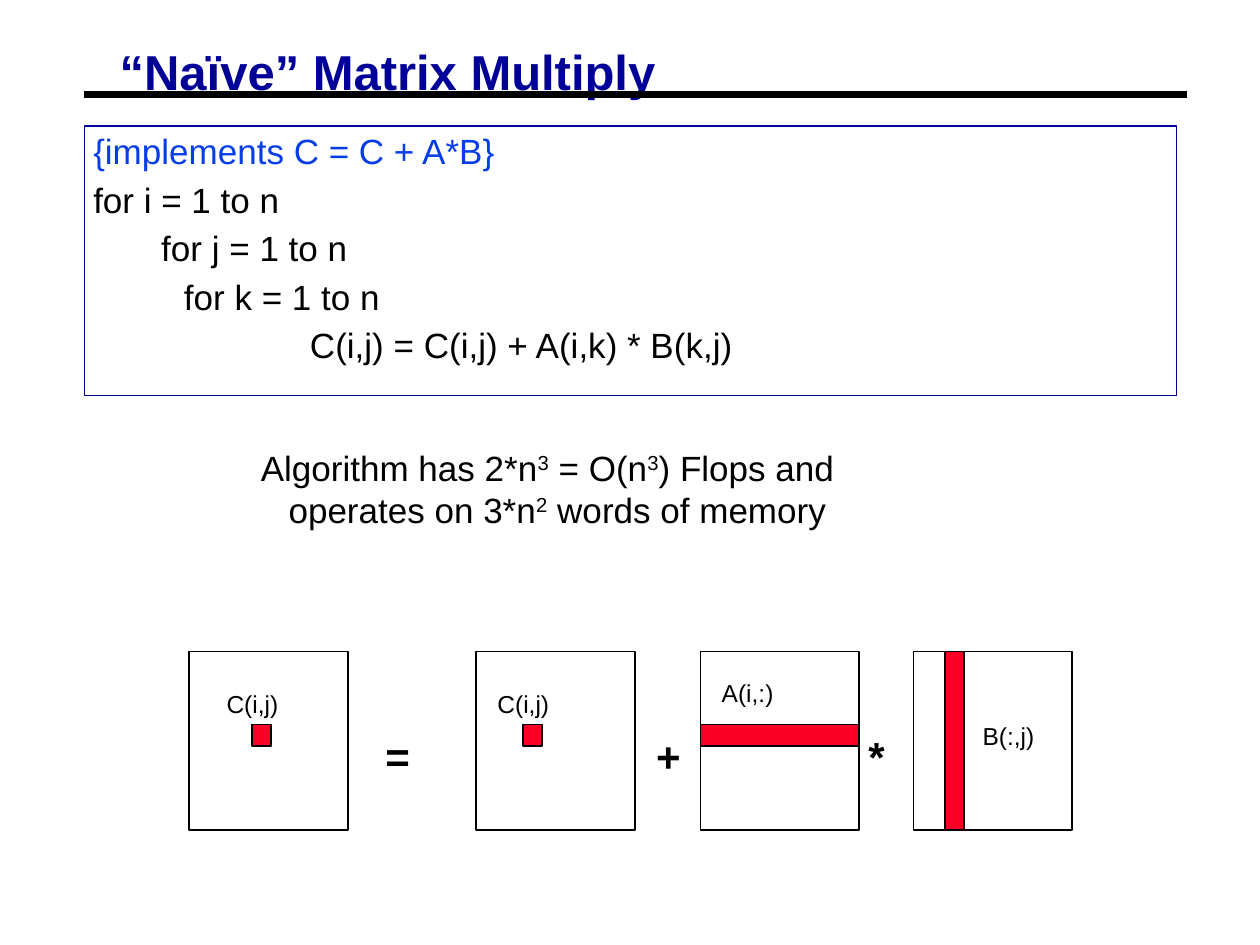
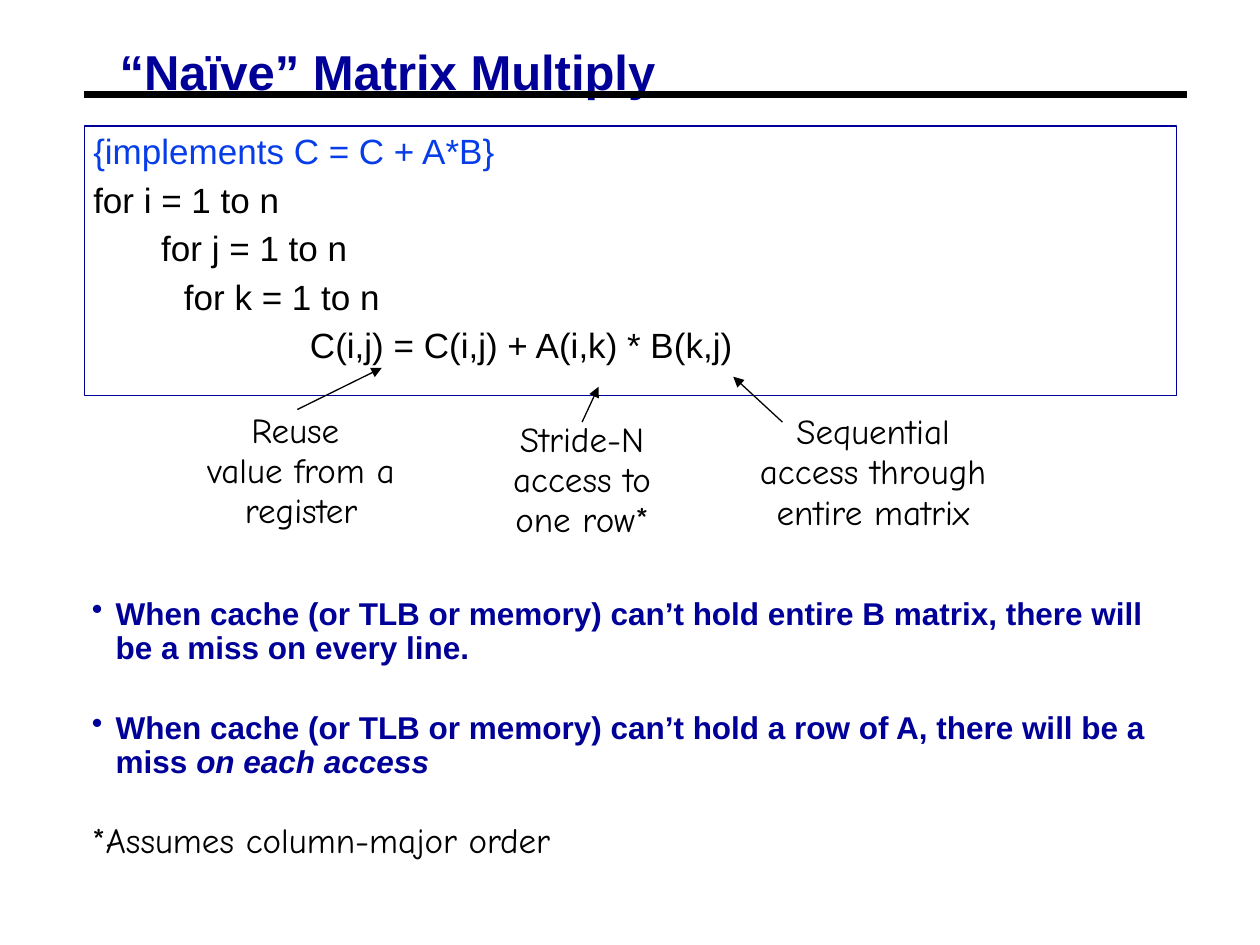
from lxml import etree
from pptx import Presentation
from pptx import util as u
from pptx.dml.color import RGBColor
from pptx.enum import shapes, text
from pptx.oxml import ns

EMU_PER_PX = 9144  # 100 px to the inch
NAVY = RGBColor(0x00, 0x00, 0x99)
BLUE = RGBColor(0x06, 0x3D, 0xE8)
RED = RGBColor(0xFC, 0x01, 0x28)
BLACK = RGBColor(0, 0, 0)
SANS = "Arial"
HAND = "Comic Neue"

TITLE = "“Naïve” Matrix Multiply"
CODE = [
    "{implements C = C + A*B}",
    "for i = 1 to n",
    "       for j = 1 to n",
    "\t\tfor k = 1 to n",
    "           \t\tC(i,j) = C(i,j) + A(i,k) * B(k,j)",
]

MATRIX_TOP, MATRIX_WIDTH, MATRIX_HEIGHT = 517, 126, 142
ROW_I = (58, 17)  # offset and height of row i
# matrix left, marked part (left, top, width, height), label, label left and top;
# all but the first are measured from the matrix
MATRICES = [
    (150, (50, ROW_I[0], 15, ROW_I[1]), "C(i,j)", 20, 25),
    (378, (37, ROW_I[0], 15, ROW_I[1]), "C(i,j)", 7, 25),
    (556, (0, ROW_I[0], MATRIX_WIDTH, ROW_I[1]), "A(i,:)", 7, 16),
    (725, (25, 0, 15, MATRIX_HEIGHT), "B(:,j)", 45, 50),
]
OPERATORS = [("=", 296, 59), ("+", 511, 30), ("*", 681, 18)]

# lines, box, arrow start, arrow end
ACCESS_NOTES = [
    (["Reuse ", "value from a", "register"], (154, 327, 170, 99), (236, 325), (303, 292)),
    (["Stride-N", "access to", "one row*"], (397, 334, 130, 99), (462, 335), (475, 307)),
    (["Sequential", "access through", "entire matrix"], (593, 328, 200, 99), (621, 335), (582, 299)),
]


def px(*lengths):
    return [u.Emu(length * EMU_PER_PX) for length in lengths]


def place(shape, box):
    shape.left, shape.top, shape.width, shape.height = px(*box)


def set_frame(frame, inset_x=10, inset_y=5, wrap=True, anchor=text.MSO_ANCHOR.TOP):
    frame.margin_left = frame.margin_right = px(inset_x)[0]
    frame.margin_top = frame.margin_bottom = px(inset_y)[0]
    frame.auto_size = text.MSO_AUTO_SIZE.NONE
    frame.word_wrap = wrap
    frame.vertical_anchor = anchor


def set_hanging_indent(paragraph, hang):
    properties = paragraph._p.get_or_add_pPr()
    properties.set("marL", str(px(hang)[0]))
    properties.set("indent", str(-px(hang)[0]))


def set_bullet(paragraph, character=None, color=NAVY):
    """Give the paragraph a bullet, or none without a character."""
    properties = paragraph._p.get_or_add_pPr()
    if character is None:
        etree.SubElement(properties, ns.qn("a:buNone"))
        return
    bullet_color = etree.SubElement(properties, ns.qn("a:buClr"))
    etree.SubElement(bullet_color, ns.qn("a:srgbClr"), val=str(color))
    etree.SubElement(properties, ns.qn("a:buChar"), char=character)


def set_tabs(paragraph, step=100, count=8):
    tabs = etree.SubElement(paragraph._p.get_or_add_pPr(), ns.qn("a:tabLst"))
    for index in range(count):
        etree.SubElement(tabs, ns.qn("a:tab"), pos=str(px(index * step)[0]), algn="l")


def next_paragraph(frame):
    first = frame.paragraphs[0]
    return frame.add_paragraph() if first.runs else first


def write(paragraph, content, size, color=BLACK, name=SANS, bold=False,
          marked=("baseline", "30000"), before=0, spacing=None,
          align=text.PP_ALIGN.LEFT):
    """Fill a paragraph; pieces between ^ signs get the marked attribute."""
    for index, piece in enumerate(content.split("^")):
        run = paragraph.add_run()
        run.text = piece
        if index % 2:
            run._r.get_or_add_rPr().set(*marked)
    paragraph.alignment = align
    paragraph.space_before = u.Pt(before)
    if spacing:
        paragraph.line_spacing = spacing
    font = paragraph.font
    font.size, font.name, font.bold = u.Pt(size), name, bold
    font.color.rgb = color


def add_text_box(slide, box, **frame_options):
    frame = slide.shapes.add_textbox(*px(*box)).text_frame
    set_frame(frame, **frame_options)
    return frame


def add_label(slide, content, box, size, bold=False):
    write(add_text_box(slide, box).paragraphs[0], content, size, bold=bold)


def add_rectangle(slide, box, fill=None):
    shape = slide.shapes.add_shape(shapes.MSO_SHAPE.RECTANGLE, *px(*box))
    shape.shadow.inherit = False
    if fill is None:
        shape.fill.background()
    else:
        shape.fill.solid()
        shape.fill.fore_color.rgb = fill
    shape.line.color.rgb = BLACK
    shape.line.width = u.Pt(1)


def add_line(slide, start, end, width, arrow=False):
    connector = slide.shapes.add_connector(
        shapes.MSO_CONNECTOR.STRAIGHT, *px(*start, *end))
    connector.line.color.rgb = BLACK
    connector.line.width = u.Pt(width)
    if arrow:
        etree.SubElement(connector.line._get_or_add_ln(), ns.qn("a:tailEnd"), type="triangle")
    etree.SubElement(connector._element.spPr, ns.qn("a:effectLst"))


def add_code(body):
    place(body, (67, 100, 867, 214))
    body.line.color.rgb = NAVY
    body.line.width = u.Pt(0.75)
    set_frame(body.text_frame, 7, 3)
    for index, line in enumerate(CODE):
        paragraph = next_paragraph(body.text_frame)
        set_hanging_indent(paragraph, 22)
        set_bullet(paragraph)
        set_tabs(paragraph)
        write(paragraph, line, 20, color=BLACK if index else BLUE,
              before=3.7 if index else 0)


def add_algorithm_slide(presentation):
    """Add a slide with the title, the rule below it and the code box."""
    slide = presentation.slides.add_slide(presentation.slide_layouts[1])
    add_line(slide, (67, 75), (942, 75), 3.75)
    title = slide.shapes.title
    place(title, (88, 34, 440, 52))
    set_frame(title.text_frame, 7, 3, anchor=text.MSO_ANCHOR.MIDDLE)
    write(title.text_frame.paragraphs[0], TITLE, 28, NAVY, bold=True, spacing=0.87)
    add_code(slide.placeholders[1])
    return slide


def add_matrix(slide, left, part, label, label_left, label_top):
    add_rectangle(slide, (left, MATRIX_TOP, MATRIX_WIDTH, MATRIX_HEIGHT))
    part_left, part_top, width, height = part
    add_rectangle(slide, (left + part_left, MATRIX_TOP + part_top, width, height), RED)
    add_label(slide, label, (left + label_left, MATRIX_TOP + label_top, 74, 34), 14)


def add_access_note(slide, lines, box, start, end):
    frame = add_text_box(slide, box, wrap=False)
    for index, line in enumerate(lines):
        write(next_paragraph(frame), line, 20, name=HAND, spacing=0.75,
              before=5 if index else 0, align=text.PP_ALIGN.CENTER)
    add_line(slide, start, end, 0.75, arrow=True)


def add_miss_list(slide):
    frame = add_text_box(slide, (63, 470, 865, 218))
    misses = [
        "When cache (or TLB or memory) can’t hold entire B matrix, "
        "there will be a miss on every line.",
        "When cache (or TLB or memory) can’t hold a row of A, "
        "there will be a miss ^on each access",
    ]
    for index, miss in enumerate(misses):
        paragraph = next_paragraph(frame)
        set_hanging_indent(paragraph, 19)
        set_bullet(paragraph, "•")
        write(paragraph, miss, 18, NAVY, bold=True, marked=("i", "1"),
              spacing=0.9, before=26 if index else 0)
    footnote = next_paragraph(frame)
    set_hanging_indent(footnote, 19)
    write(footnote, "*Assumes column-major order", 20, name=HAND,
          spacing=0.75, before=27.5)


def main():
    presentation = Presentation()
    presentation.slide_width, presentation.slide_height = px(1000, 750)

    slide = add_algorithm_slide(presentation)
    cost = add_text_box(slide, (200, 351, 515, 72), inset_x=7, inset_y=3).paragraphs[0]
    set_hanging_indent(cost, 22)
    write(cost, "Algorithm has 2*n^3^ = O(n^3^) Flops and operates on 3*n^2^ words of memory", 20)
    for matrix in MATRICES:
        add_matrix(slide, *matrix)
    for sign, left, width in OPERATORS:
        add_label(slide, sign, (left, 575, width, 50), 24, bold=True)

    slide = add_algorithm_slide(presentation)
    for note in ACCESS_NOTES:
        add_access_note(slide, *note)
    add_miss_list(slide)

    presentation.save("out.pptx")


if __name__ == "__main__":
    main()
